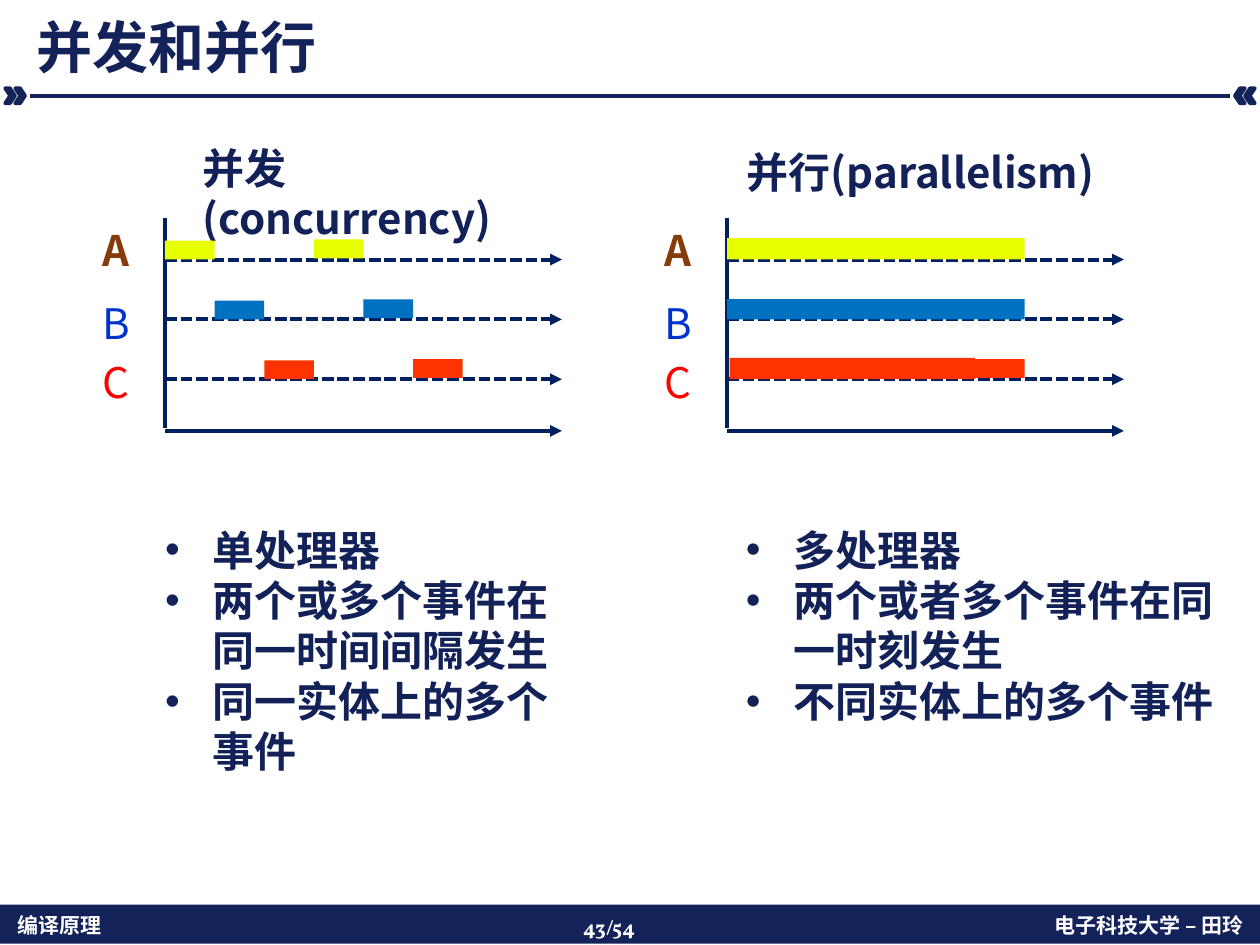
from pptx import Presentation
from pptx.dml.color import RGBColor
from pptx.enum.dml import MSO_LINE
from pptx.enum.shapes import MSO_CONNECTOR, MSO_SHAPE
from pptx.enum.text import MSO_ANCHOR, MSO_AUTO_SIZE, PP_ALIGN
from pptx.oxml.ns import qn
from pptx.util import Inches, Pt
from lxml.etree import SubElement

NAVY = RGBColor(0x13, 0x22, 0x59)
INK = RGBColor(0x12, 0x22, 0x59)
AXIS = RGBColor(0x00, 0x20, 0x60)
WHITE = RGBColor(0xFF, 0xFF, 0xFF)
YELLOW = RGBColor(0xE7, 0xFF, 0x01)
BLUE = RGBColor(0x00, 0x70, 0xC0)
RED = RGBColor(0xFF, 0x33, 0x00)
BROWN = RGBColor(0x84, 0x3C, 0x0B)
LABEL_BLUE = RGBColor(0x00, 0x33, 0xCC)
LABEL_RED = RGBColor(0xFF, 0x00, 0x00)

SANS = "Noto Sans CJK SC"
SERIF = "Vollkorn"
COLUMNS, ROWS = 100, 75

# Timeline measures, in grid columns and rows
AXIS_LENGTH, SLOT = 31.5, 31.5 / 8
FIRST_LANE, LANE_STEP = 20.6, 4.75
BAR_HEIGHT = 1.5
LANE_COLOURS = (YELLOW, BLUE, RED)
LANE_LABELS = (("A", 17.3, BROWN, True),
               ("B", 23.1, LABEL_BLUE, False),
               ("C", 27.8, LABEL_RED, False))


class SlideBuilder:
    """Places styled elements on a slide divided into COLUMNS by ROWS."""

    def __init__(self, prs):
        self.column = prs.slide_width / COLUMNS
        self.row = prs.slide_height / ROWS
        self.slide = prs.slides.add_slide(prs.slide_layouts[3])
        self.shapes = self.slide.shapes

    def grid(self, x, y, width, height):
        return (round(x * self.column), round(y * self.row),
                round(width * self.column), round(height * self.row))

    def set_text(self, frame, text, size, colour, bold=True, font=SANS,
                 align=PP_ALIGN.LEFT, inset=0.1):
        frame.text = text
        frame.word_wrap = True
        frame.auto_size = MSO_AUTO_SIZE.NONE
        frame.margin_left = frame.margin_right = Inches(inset)
        frame.margin_top = frame.margin_bottom = Inches(0.05)
        for paragraph in frame.paragraphs:
            paragraph.alignment = align
            paragraph.space_before = Pt(0)
            for run in paragraph.runs:
                run.font.size, run.font.bold = Pt(size), bold
                run.font.name = font
                run.font.color.rgb = colour
                SubElement(run.font._element, qn("a:ea"), typeface=SANS)

    def text(self, box, text, size, colour, **style):
        frame = self.shapes.add_textbox(*self.grid(*box)).text_frame
        self.set_text(frame, text, size, colour, **style)

    def placeholder(self, index, box):
        holder = self.slide.placeholders[index]
        holder.left, holder.top, holder.width, holder.height = self.grid(*box)
        return holder.text_frame

    def title(self, box, text):
        frame = self.placeholder(0, box)
        self.set_text(frame, text, 32, NAVY, font=SERIF)
        frame.vertical_anchor = MSO_ANCHOR.BOTTOM
        frame.paragraphs[0].line_spacing = 0.9

    def bullets(self, index, box, items):
        frame = self.placeholder(index, box)
        self.set_text(frame, "\n".join(items), 24, INK, inset=0)
        frame.vertical_anchor = MSO_ANCHOR.TOP
        indent = Inches(0.38)
        for paragraph in frame.paragraphs:
            properties = paragraph._p.get_or_add_pPr()
            properties.set("marL", str(indent))
            properties.set("indent", str(-indent))
            SubElement(properties, qn("a:buFont"), typeface="Arial")
            SubElement(properties, qn("a:buChar"), char="•")

    def block(self, box, colour, preset=MSO_SHAPE.RECTANGLE, outline=None):
        shape = self.shapes.add_shape(preset, *self.grid(*box))
        shape.shadow.inherit = False
        shape.fill.solid()
        shape.fill.fore_color.rgb = colour
        if outline:
            shape.line.color.rgb = colour
            shape.line.width = Pt(outline)
        else:
            shape.line.fill.background()
        return shape

    def line(self, start, end, colour=AXIS, width=2.25, dashed=False, arrow=False):
        connector = self.shapes.add_connector(
            MSO_CONNECTOR.STRAIGHT, *self.grid(*start, *end))
        connector.line.color.rgb = colour
        connector.line.width = Pt(width)
        if dashed:
            connector.line.dash_style = MSO_LINE.SQUARE_DOT
        if arrow:
            SubElement(connector.line._get_or_add_ln(), qn("a:tailEnd"), type="triangle")
        SubElement(connector._element.spPr, qn("a:effectLst"))

    def timeline(self, left, first_bars):
        """Draw three lanes; first_bars gives (start slot, slots, height) per lane."""
        right = left + AXIS_LENGTH
        self.line((left, 34.2), (right, 34.2), arrow=True)
        self.line((left, 34), (left, 17.3))
        lanes = [FIRST_LANE + LANE_STEP * i for i in range(len(LANE_COLOURS))]
        for lane in lanes:
            self.line((left, lane), (right, lane), dashed=True, arrow=True)
        second_bars = [(slot, 1, BAR_HEIGHT) for slot in (3, 4, 5)]
        for bars, lift in ((first_bars, 0), (second_bars, 0.1)):
            for lane, colour, (slot, slots, height) in zip(lanes, LANE_COLOURS, bars):
                self.block((left + slot * SLOT, lane - height - lift,
                            slots * SLOT, height), colour)
        for letter, top, colour, bold in LANE_LABELS:
            self.text((left - 5, top, 3.1, 5.1), letter, 24, colour,
                      bold=bold, inset=0)

    def frame(self):
        """Draw the rule under the title and the footer band."""
        self.block((0, 71.8, 100, 3.1), NAVY)
        self.text((0.4, 71.9, 29.4, 3), "编译原理", 12, WHITE)
        self.text((69.8, 71.9, 29.9, 3), "电子科技大学 – 田玲", 12, WHITE,
                  align=PP_ALIGN.RIGHT)
        self.text((45.3, 72.1, 9.4, 3), "43/54", 12, WHITE, font=SERIF)
        for x, rotation in ((0.4, 0), (1.2, 0), (98.8, 180), (98, 180)):
            chevron = self.block((x, 7, 0.8, 1.2), NAVY, MSO_SHAPE.CHEVRON, 2)
            chevron.rotation = rotation
        self.line((2.4, 7.6), (97.6, 7.6), NAVY, 2)


def main():
    prs = Presentation()
    prs.slide_width, prs.slide_height = Inches(10), Inches(7.5)
    page = SlideBuilder(prs)
    page.frame()
    page.title((1.9, 0.5, 96.1, 6.4), "并发和并行")

    page.text((15.1, 10.8, 30.9, 5), "并发(concurrency)", 24, INK)
    page.bullets(1, (13.1, 41.1, 31.5, 21.2),
                 ("单处理器", "两个或多个事件在同一时间间隔发生", "同一实体上的多个事件"))
    page.timeline(13.1, [(slot, 1, BAR_HEIGHT) for slot in range(3)])

    page.text((58.3, 11.1, 30.9, 5), "并行(parallelism)", 24, INK)
    page.bullets(2, (59.2, 41.1, 37.4, 21.2),
                 ("多处理器", "两个或者多个事件在同一时刻发生", "不同实体上的多个事件"))
    page.timeline(57.7, [(0, 6, 1.7), (0, 6, 1.6), (0.05, 4.95, 1.7)])
    prs.save("out.pptx")


if __name__ == "__main__":
    main()
